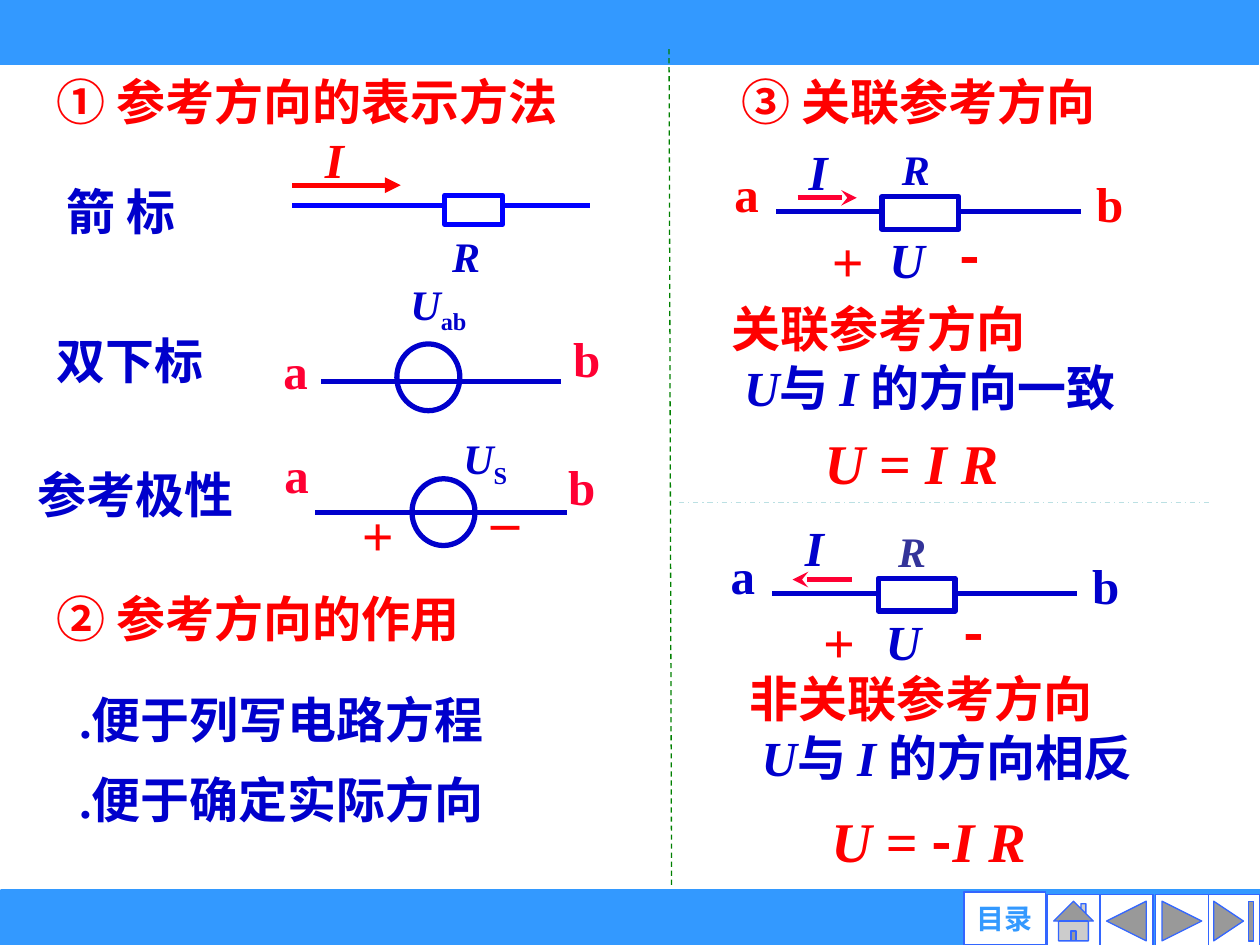
from lxml import etree
from pptx import Presentation
from pptx import util as u
from pptx.dml import color
from pptx.enum import dml, shapes, text
from pptx.oxml import ns

RED, BLUE, PINK, SKY = "FF0000", "0000CC", "FF0033", "3399FF"
SERIF, SANS = "Times New Roman", "Noto Sans CJK SC"
WIDTHS = {"I": 0.35, "U": 0.48, "R": 0.42, "a": 0.4, "b": 0.42, "+": 0.45, "-": 0.43, "_": 0.42}
KIND = shapes.MSO_SHAPE


def rgb(code):
    return color.RGBColor.from_string(code)


def inch(*sizes):
    return [u.Inches(size) for size in sizes]


class Board:
    def __init__(self):
        self.deck = Presentation()
        self.deck.slide_width, self.deck.slide_height = inch(10, 7.5)
        self.slide = self.deck.slides.add_slide(self.deck.slide_layouts[1])
        self.items = self.slide.shapes

    def run(self, para, words, hue=BLUE, size=28, slant=False, font=SERIF, base=0):
        run = para.add_run()
        run.text = words
        style = run.font
        style.size, style.bold, style.italic = u.Pt(size), True, slant
        style.color.rgb = rgb(hue)
        style.name = font
        props = run._r.get_or_add_rPr()
        etree.SubElement(props, ns.qn("a:ea")).set("typeface", SANS)
        if base:
            props.set("baseline", str(base * 1000))

    def fill(self, frame, *rows):
        for num, row in enumerate(rows):
            para = frame.add_paragraph() if num else frame.paragraphs[0]
            for words, opts in row:
                self.run(para, words, **opts)

    def text(self, x, y, w, *rows, wrap=True):
        size = max(opts.get("size", 28) for row in rows for _, opts in row)
        high = len(rows) * size / 60 + 0.1
        frame = self.items.add_textbox(*inch(x, y, w, high)).text_frame
        frame.word_wrap = wrap
        frame.auto_size = text.MSO_AUTO_SIZE.SHAPE_TO_FIT_TEXT
        self.fill(frame, *rows)

    def label(self, x, y, mark, **opts):
        self.text(x, y, WIDTHS[mark], [(mark, opts)], wrap=False)

    def holder(self, index, x, y, w, h, rows):
        item = self.slide.placeholders[index]
        item.left, item.top, item.width, item.height = inch(x, y, w, h)
        frame = item.text_frame
        frame.auto_size = text.MSO_AUTO_SIZE.NONE
        frame.vertical_anchor = text.MSO_ANCHOR.TOP
        self.fill(frame, *rows)
        for num, para in enumerate(frame.paragraphs):
            props = para._p.get_or_add_pPr()
            props.set("marL", "0")
            props.set("indent", "0")
            etree.SubElement(props, ns.qn("a:buNone"))
            para.alignment = text.PP_ALIGN.LEFT
            para.space_before = u.Pt(12.4 if num else 0)

    def shape(self, kind, x, y, w, h, hue=BLUE, back="FFFFFF", width=3):
        item = self.items.add_shape(kind, *inch(x, y, w, h))
        item.shadow.inherit = False
        item.fill.solid()
        item.fill.fore_color.rgb = rgb(back)
        item.line.color.rgb = rgb(hue)
        item.line.width = u.Pt(width)
        return item

    def line(self, x, y, right, low, hue=BLUE, width=3, dash=None, head=None):
        item = self.items.add_connector(shapes.MSO_CONNECTOR.STRAIGHT, *inch(x, y, right, low))
        item.line.color.rgb = rgb(hue)
        item.line.width = u.Pt(width)
        if dash:
            item.line.dash_style = dash
        if head:
            tail = etree.SubElement(item.line._get_or_add_ln(), ns.qn("a:tailEnd"))
            tail.set("type", head)
        etree.SubElement(item._element.spPr, ns.qn("a:effectLst"))

    def source(self, x, y, wire):
        self.shape(KIND.OVAL, x, y, 0.5, 0.53)
        left, level, right = wire
        self.line(left, level, right, level)

    def branch(self, x, y, lift, ends, hue, tint, plus, minus):
        self.line(x + 0.43, y + 0.43, x + 2.85, y + 0.43)
        self.shape(KIND.RECTANGLE, x + 1.27, y + 0.31, 0.61, 0.26)
        start, stop = ends
        self.line(x + start, y + 0.32, x + stop, y + 0.32, hue=PINK, head="stealth")
        self.label(x + 0.59, y - lift, "I", slant=True)
        self.label(x + 1.23, y + 0.52, "U", slant=True)
        self.label(x + 1.33, y - 0.16, "R", hue=tint, size=24, slant=True)
        self.label(x, y, "a", hue=hue)
        self.label(x + 2.87, y + 0.08, "b", hue=hue)
        self.label(*plus, "+", hue=RED, size=32, slant=True)
        self.label(*minus, "-", hue=RED, size=32, font=SANS)

    def rule(self, x, y, w, name, tail):
        self.text(x, y, w, [(name, {"hue": RED})],
                  [(" ", {}), ("U", {"slant": True}), ("与 ", {}), ("I ", {"slant": True}), (tail, {})])


def main():
    board = Board()
    red = {"hue": RED}
    sans = {"font": SANS}

    board.shape(KIND.RECTANGLE, 0.01, 7.08, 9.99, 0.42, hue=SKY, back=SKY)
    keys = [(9.58, KIND.ACTION_BUTTON_END), (9.17, KIND.ACTION_BUTTON_FORWARD_OR_NEXT),
            (8.73, KIND.ACTION_BUTTON_BACK_OR_PREVIOUS), (8.31, KIND.ACTION_BUTTON_HOME)]
    for x, kind in keys:
        board.shape(kind, x, 7.1, 0.42, 0.42, hue="3366FF", width=0.75)
    menu = board.shape(KIND.ACTION_BUTTON_CUSTOM, 7.65, 7.08, 0.65, 0.42, hue="3366FF", width=0.75)
    frame = menu.text_frame
    frame.margin_left = frame.margin_right = frame.margin_top = frame.margin_bottom = 0
    frame.vertical_anchor = text.MSO_ANCHOR.MIDDLE
    frame.paragraphs[0].alignment = text.PP_ALIGN.CENTER
    board.fill(frame, [("目录", {"hue": SKY, "size": 16, "font": "Arial"})])
    board.shape(KIND.RECTANGLE, 0, -0.01, 9.99, 0.52, hue=SKY, back=SKY, width=0)

    board.holder(0, 0.35, 0.52, 5.29, 0.57, [[("① 参考方向的表示方法", red)]])
    board.holder(1, 0.53, 5.42, 4.4, 1.21,
                 [[(".便于列写电路方程", {})], [(".便于确定实际方向", {})]])
    board.text(0.35, 4.62, 4.4, [("② 参考方向的作用", red)])
    board.text(5.79, 0.52, 3.83, [("③ 关联参考方向", red)])

    board.text(0.43, 1.39, 1.65, [("箭 标", sans)])
    board.text(0.35, 2.57, 2.13, [("双下标", sans)])
    board.text(0.2, 3.64, 2.2, [("参考极性", {})])

    board.label(2.48, 0.98, "I", hue=RED, slant=True)
    board.line(2.32, 1.47, 3.18, 1.47, hue=RED, head="triangle")
    board.line(2.32, 1.63, 4.68, 1.63, hue="0000FF")
    board.shape(KIND.RECTANGLE, 3.53, 1.55, 0.46, 0.23, hue="0000FF")
    board.label(3.49, 1.78, "R", size=24, slant=True)

    board.source(3.15, 2.73, (2.55, 3.03, 4.45))
    board.source(3.27, 3.8, (2.5, 4.07, 4.5))
    for x, y, mark in [(2.15, 2.65, "a"), (4.45, 2.56, "b"), (2.16, 3.48, "a"), (4.41, 3.57, "b")]:
        board.label(x, y, mark, hue=PINK)
    for x, y, w, sub in [(3.16, 2.16, 1.1, "ab"), (3.58, 3.38, 0.76, "S")]:
        board.text(x, y, w, [("U", {"size": 24, "slant": True}), (sub, {"size": 24, "base": -25})])
    for x, y, mark in [(2.77, 3.92, "+"), (3.83, 3.65, "_")]:
        board.label(x, y, mark, hue=RED, size=32, slant=True)

    board.line(5.31, 0.39, 5.33, 7.04, hue="008000", width=0.75, dash=dml.MSO_LINE.DASH)
    board.line(5.39, 3.99, 9.62, 3.99, hue="BBE0E3", width=0.75, dash=dml.MSO_LINE.DASH_DOT)

    board.branch(5.73, 1.25, 0.18, (0.6, 1.07), RED, BLUE, (6.5, 1.75), (7.52, 1.7))
    board.branch(5.7, 4.28, 0.22, (1.06, 0.59), BLUE, "333399", (6.43, 4.77), (7.55, 4.69))
    board.rule(5.71, 2.32, 3.78, "关联参考方向", "的方向一致")
    board.rule(5.85, 5.26, 3.63, "非关联参考方向", "的方向相反")

    big = {"hue": RED, "size": 32}
    tilt = {**big, "slant": True}
    board.text(6.35, 3.35, 2.27, [(" ", {}), ("U", tilt), (" = ", big), ("I R", tilt)])
    board.text(6.5, 6.35, 2.22, [("U", tilt), (" = ", big), ("-", {**big, "font": SANS}), ("I R", tilt)])

    board.deck.save("out.pptx")


if __name__ == "__main__":
    main()
